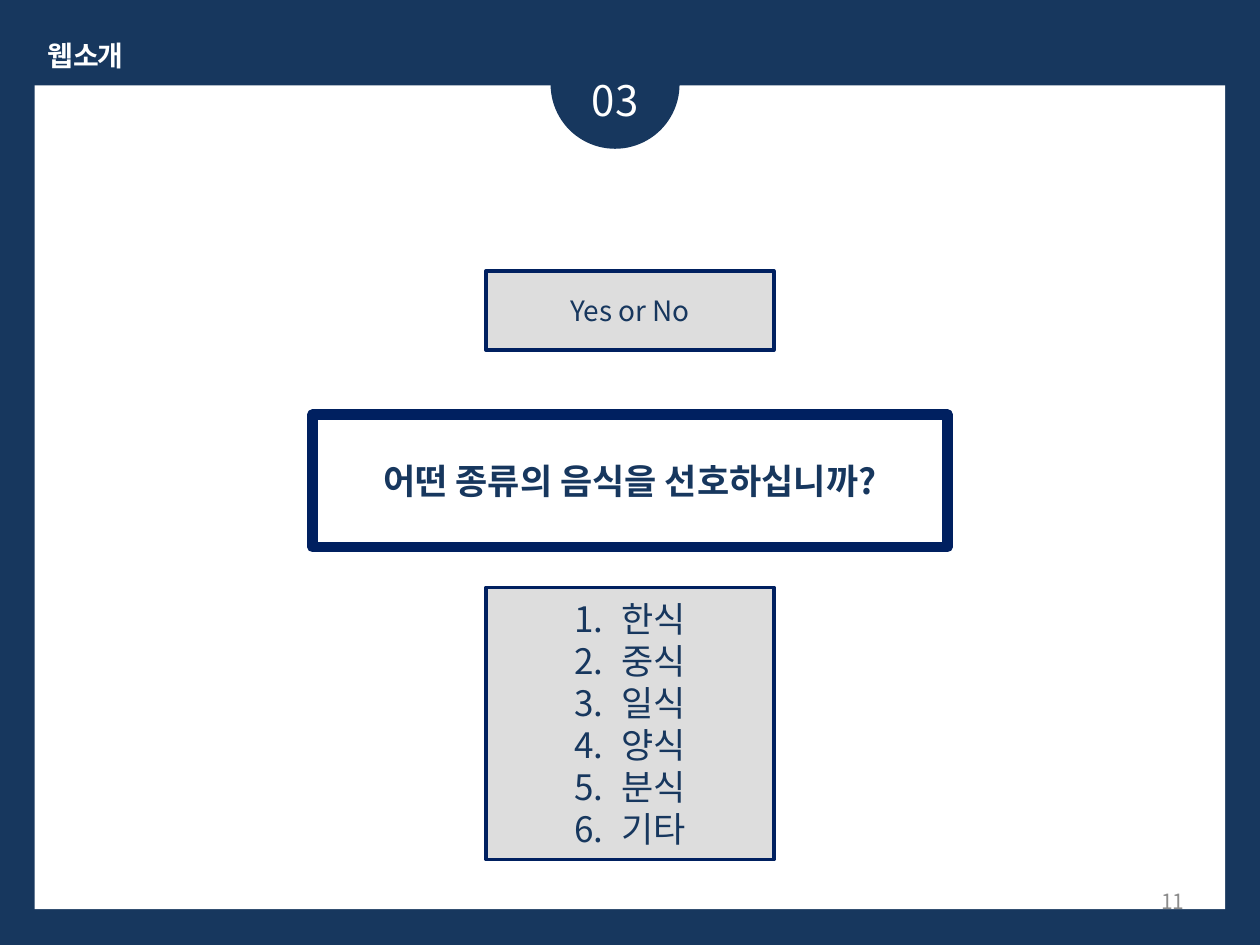
from dataclasses import dataclass
from typing import Any, Optional

from lxml.etree import SubElement
from pptx import Presentation
from pptx.dml.color import RGBColor
from pptx.enum.shapes import MSO_SHAPE as Preset
from pptx.enum.text import MSO_ANCHOR as Anchor
from pptx.enum.text import MSO_AUTO_SIZE as AutoSize
from pptx.enum.text import PP_ALIGN as Align
from pptx.oxml.ns import qn
from pptx.util import Cm, Pt


@dataclass(frozen=True)
class Theme:
    font: str = "Noto Sans CJK KR"
    navy: str = "17375E"
    border: str = "002060"
    white: str = "FFFFFF"
    silver: str = "DDDDDD"
    gray: str = "8C8C8C"
    number: int = 24
    large: int = 20
    normal: int = 16
    small: int = 12


@dataclass(frozen=True)
class Box:
    left: float
    top: float
    width: float
    height: float
    preset: Optional[Preset] = None
    fill: Optional[str] = None
    border: float = 0
    lines: tuple[str, ...] = ()
    size: int = 16
    color: str = "17375E"
    bold: bool = False
    align: Align = Align.CENTER
    anchor: Anchor = Anchor.MIDDLE
    wrap: bool = True
    grow: bool = False
    numbered: bool = False
    spacing: int = 0


THEME = Theme()
INDENT = Cm(0.95)
CENTER = 12.7


def centered(width: float, top: float, height: float, **options: Any) -> Box:
    left = round(CENTER - width / 2, 2)
    return Box(left, top, width, height, Preset.RECTANGLE, **options)


def set_values(target: Any, values: dict[str, Any]) -> None:
    for name, value in values.items():
        setattr(target, name, value)


def paint(shape: Any, box: Box) -> None:
    shape.shadow.inherit = False
    if box.fill:
        shape.fill.solid()
        shape.fill.fore_color.rgb = RGBColor.from_string(box.fill)
    else:
        shape.fill.background()
    if box.border:
        shape.line.color.rgb = RGBColor.from_string(THEME.border)
        shape.line.width = Pt(box.border)
    else:
        shape.line.fill.background()


def write_line(para: Any, text: str, box: Box) -> None:
    para.alignment = box.align
    if box.numbered:
        properties = para._p.get_or_add_pPr()
        properties.set("marL", str(INDENT))
        properties.set("indent", str(-INDENT))
        SubElement(properties, qn("a:buFont"), typeface=THEME.font)
        SubElement(properties, qn("a:buAutoNum"), type="arabicPeriod")
    span = para.add_run()
    span.text = text
    set_values(span.font, {"name": THEME.font, "size": Pt(box.size), "bold": box.bold})
    span.font.color.rgb = RGBColor.from_string(box.color)
    properties = span._r.get_or_add_rPr()
    SubElement(properties, qn("a:ea"), typeface=THEME.font)
    if box.spacing:
        properties.set("spc", str(box.spacing))


def draw(page: Any, box: Box) -> None:
    frame = [Cm(value) for value in (box.left, box.top, box.width, box.height)]
    if box.preset is None:
        shape = page.shapes.add_textbox(*frame)
    else:
        shape = page.shapes.add_shape(box.preset, *frame)
        paint(shape, box)
    if not box.lines:
        return
    text = shape.text_frame
    set_values(text, {
        "word_wrap": box.wrap,
        "vertical_anchor": box.anchor,
        "auto_size": AutoSize.SHAPE_TO_FIT_TEXT if box.grow else AutoSize.NONE,
    })
    for index, line in enumerate(box.lines):
        para = text.add_paragraph() if index else text.paragraphs[0]
        write_line(para, line, box)


BOXES = (
    Box(0.7, 1.72, 24, 16.61, Preset.RECTANGLE, THEME.white),
    Box(11.1, 0.4, 2.6, 2.6, Preset.OVAL, THEME.navy),
    Box(0.61, 0.66, 2.21, 0.94, lines=("웹 소개",), size=THEME.normal,
        color=THEME.white, bold=True, anchor=Anchor.TOP, wrap=False,
        grow=True, spacing=-150),
    Box(10.9, 1.37, 3, 1.27, lines=("03",), size=THEME.number,
        color=THEME.white, anchor=Anchor.TOP, grow=True),
    Box(18.21, 17.65, 5.92, 1.02, lines=("11",), size=THEME.small,
        color=THEME.gray, align=Align.RIGHT),
    centered(5.8, 5.46, 1.6, fill=THEME.silver, border=2,
             lines=("Yes or No",), size=THEME.normal),
    centered(12.8, 8.36, 2.67, border=6,
             lines=("어떤 종류의 음식을 선호하십니까?",), size=THEME.large, bold=True),
    centered(5.8, 11.84, 5.49, fill=THEME.silver, border=2,
             lines=("한식", "중식", "일식", "양식", "분식", "기타"),
             size=THEME.large, numbered=True),
)

deck = Presentation()
set_values(deck, {"slide_width": Cm(25.4), "slide_height": Cm(19.05)})
page = deck.slides.add_slide(deck.slide_layouts[6])
page.background.fill.solid()
page.background.fill.fore_color.rgb = RGBColor.from_string(THEME.navy)
for box in BOXES:
    draw(page, box)
deck.save("out.pptx")
